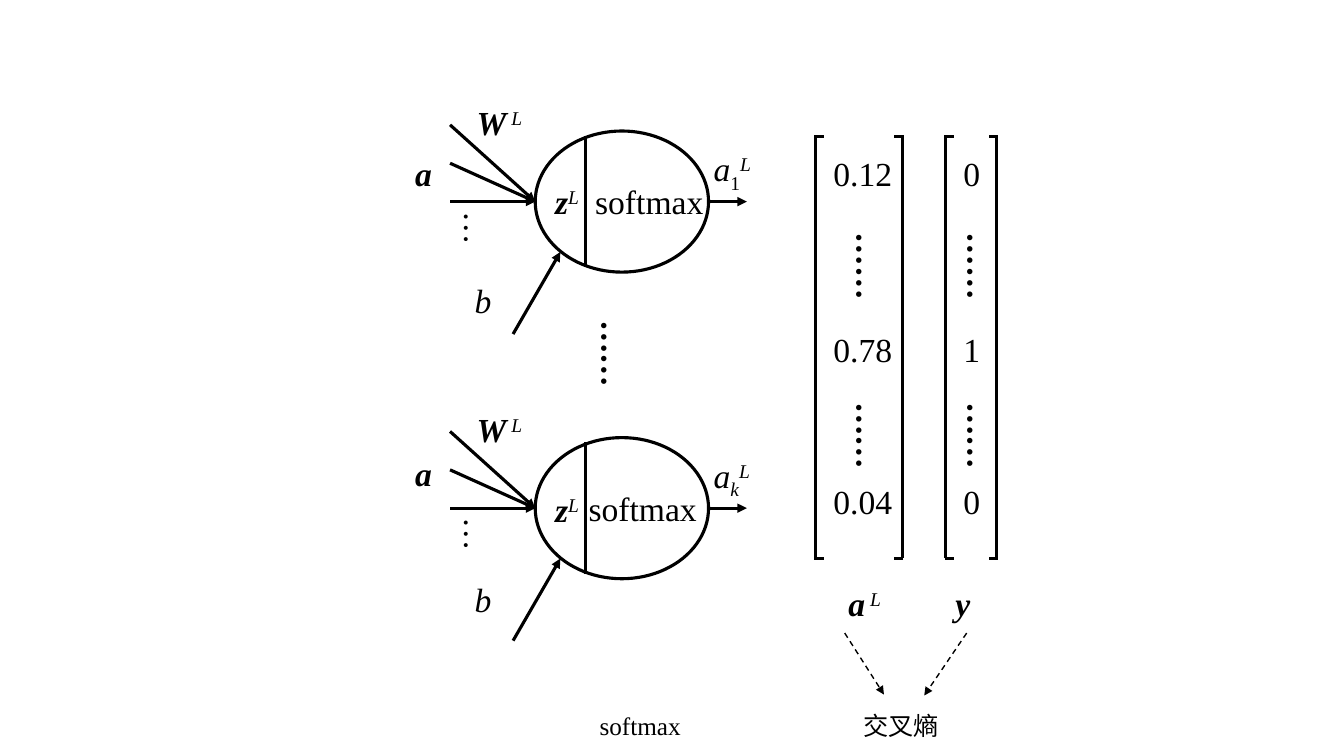
from lxml import etree
from pptx import Presentation
from pptx.dml.color import RGBColor
from pptx.enum.dml import MSO_LINE
from pptx.enum.shapes import MSO_CONNECTOR, MSO_SHAPE
from pptx.enum.text import MSO_AUTO_SIZE
from pptx.oxml.ns import qn
from pptx.util import Pt

STRAIGHT = MSO_CONNECTOR.STRAIGHT
OVAL = MSO_SHAPE.OVAL
DASH = MSO_LINE.DASH
FIT = MSO_AUTO_SIZE.SHAPE_TO_FIT_TEXT

COLORS = {"ink": "000000"}
SERIF, HAN = "Times New Roman", "Noto Sans CJK SC"
BASE = {"^": "30000", "_": "-25000"}

# Content: runs are (text, marks); b bold, i italic, ^ raised, _ lowered
WEIGHT = [("W", "bi"), (" L", "i^")]
SUM = [("z", "bi"), ("L", "i^")]
INPUT = [("a", "bi")]
BIAS = [("b", "i")]
NEURONS = [
    dict(top=93.6, out=[("a", "i"), ("1", "_"), ("L", "i^")],
         soft=418, sum=32.4, input=12.2, bias=103),
    dict(top=312.6, out=[("a", "i"), ("k", "i_"), ("L", "i^")],
         soft=413.3, sum=33.2, input=7.4, bias=97.1),
]
VECTORS = [
    dict(left=582.5, right=644.4, cells=["0.12", "0.78", "0.04"], wide=56.9,
         dots=589.7, name=[("a", "bi"), (" L", "i^")], at=599, span=39.6),
    dict(left=675.4, right=712.1, cells=["0", "1", "0"], wide=26.6,
         dots=668.9, name=[("y", "bi")], at=675.4, span=25.2),
]
ROWS = [105.8, 231.4, 339.8]
GAPS = [172.8, 293.8]
ARROWS = [(603.4, 452.2, 631.4, 496.1), (690.5, 452.2, 660.2, 496.8)]
NOTES = [("softmax", 421.2, 73.4, SERIF), ("交叉熵", 609.8, 69.1, HAN)]

deck = Presentation()
deck.slide_width, deck.slide_height = Pt(960), Pt(540)
slide = deck.slides.add_slide(deck.slide_layouts[6])
shapes = slide.shapes


def ink():
    return RGBColor.from_string(COLORS["ink"])


def write(text, x, y, w, h=36, size=24, font=SERIF, marks="", turn=0):
    box = shapes.add_textbox(Pt(x), Pt(y), Pt(w), Pt(h))
    box.rotation = turn
    frame = box.text_frame
    frame.word_wrap = False
    frame.auto_size = FIT
    runs = [(text, marks)] if isinstance(text, str) else text
    for part, style in runs:
        run = frame.paragraphs[0].add_run()
        run.text = part
        face = run.font
        face.size, face.name = Pt(size), font
        face.bold, face.italic = "b" in style, "i" in style
        face.color.rgb = ink()
        props = run._r.get_or_add_rPr()
        etree.SubElement(props, qn("a:ea")).set("typeface", font)
        for mark, shift in BASE.items():
            if mark in style:
                props.set("baseline", shift)


def draw(x1, y1, x2, y2, arrow=False, width=2.25, dash=None):
    link = shapes.add_connector(STRAIGHT, Pt(x1), Pt(y1), Pt(x2), Pt(y2))
    link.line.color.rgb = ink()
    link.line.width = Pt(width)
    if dash:
        link.line.dash_style = dash
    if arrow:
        line = link.line._get_or_add_ln()
        etree.SubElement(line, qn("a:tailEnd")).set("type", "triangle")
    etree.SubElement(link._element.spPr, qn("a:effectLst"))


# Neurons
LEFT, WIDE, HIGH = 382.3, 123.8, 100.8
for cell in NEURONS:
    top = cell["top"]
    mid = top + HIGH / 2
    oval = shapes.add_shape(OVAL, Pt(LEFT), Pt(top), Pt(WIDE), Pt(HIGH))
    oval.shadow.inherit = False
    oval.fill.background()
    oval.line.color.rgb = ink()
    oval.line.width = Pt(2.25)
    draw(418.3, top + 3.4, 418.3, top + 97.2)
    for rise in (0, 27.4, 54.8):
        draw(321.5, mid - rise, LEFT, mid, arrow=True)
    draw(366.5, top + 145, 400.3, top + 86.4, arrow=True)
    draw(LEFT + WIDE, mid, 533.5, mid, arrow=True)
    write("…", 321.8, top + 51.6, 38.9, turn=90)
    write(WEIGHT, 333.4, top - 24.3, 49)
    write(INPUT, 289.4, top + cell["input"], 26.6)
    write(BIAS, 331.9, top + cell["bias"], 26.6)
    write(SUM, 389.5, top + cell["sum"], 33.1)
    write("softmax", cell["soft"], top + 32.4, 92.9)
    write(cell["out"], 502.6, top + 8.6, 43.9)
write("……", 407.5, 235.4, 63.4, marks="b", turn=90)

# Bracketed vectors
TOP, END, TICK = 96.5, 398.9, 6.5
for vec in VECTORS:
    left, right = vec["left"], vec["right"]
    for side, way in ((left, 1), (right, -1)):
        draw(side, TOP, side, END)
        edge = side - way * 0.7
        for y in (TOP + 0.7, END):
            draw(edge, y, edge + way * TICK, y)
    for value, y in zip(vec["cells"], ROWS):
        write(value, left + 5.7, y, vec["wide"])
    for y in GAPS:
        write("……", vec["dots"], y, 63.4, marks="b", turn=90)
    write(vec["name"], vec["at"], 412.8, vec["span"])

# Loss arrows and captions
for ends in ARROWS:
    draw(*ends, arrow=True, width=1, dash=DASH)
for text, x, w, font in NOTES:
    write(text, x, 504, w, h=28.8, size=18, font=font)

deck.save("out.pptx")
